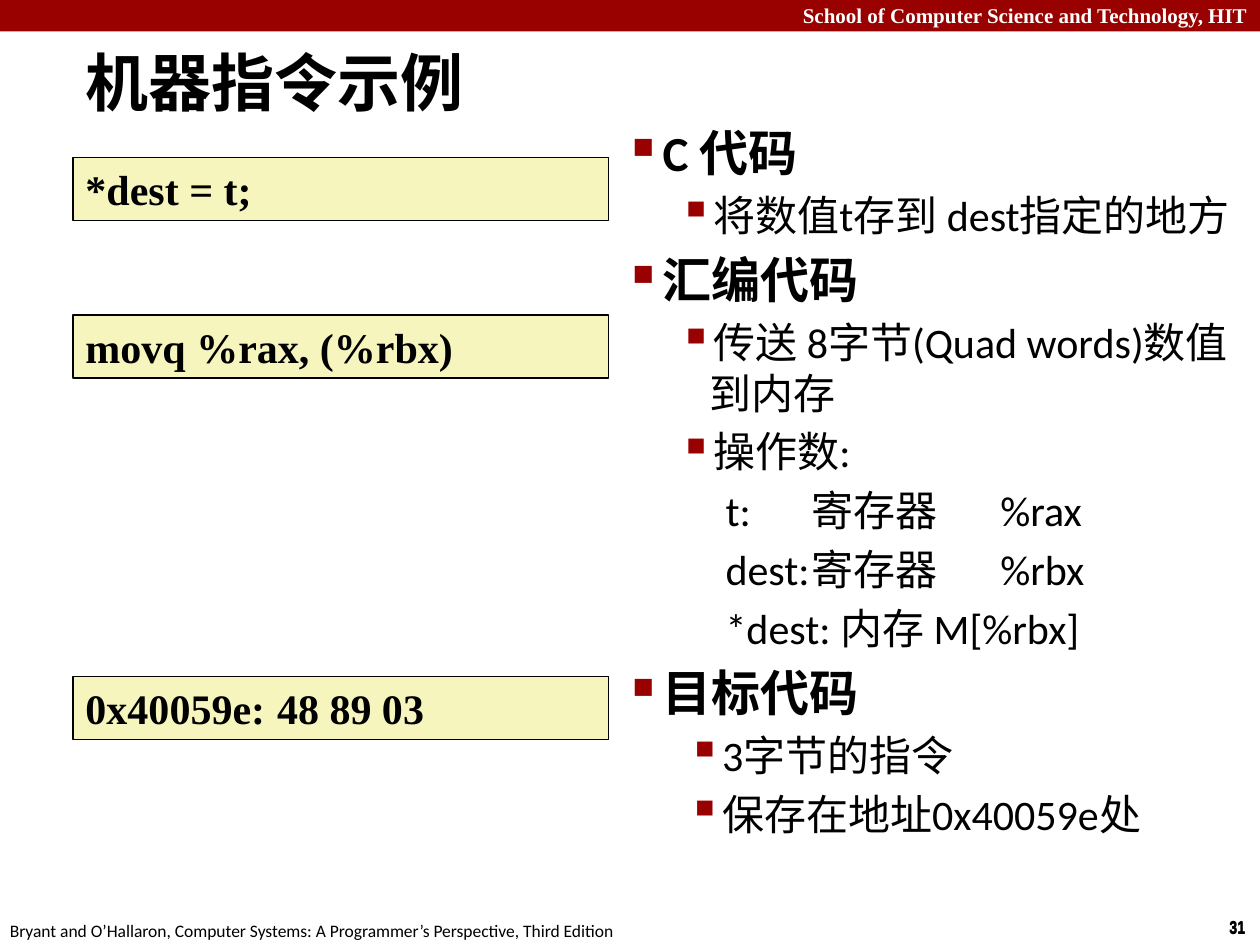
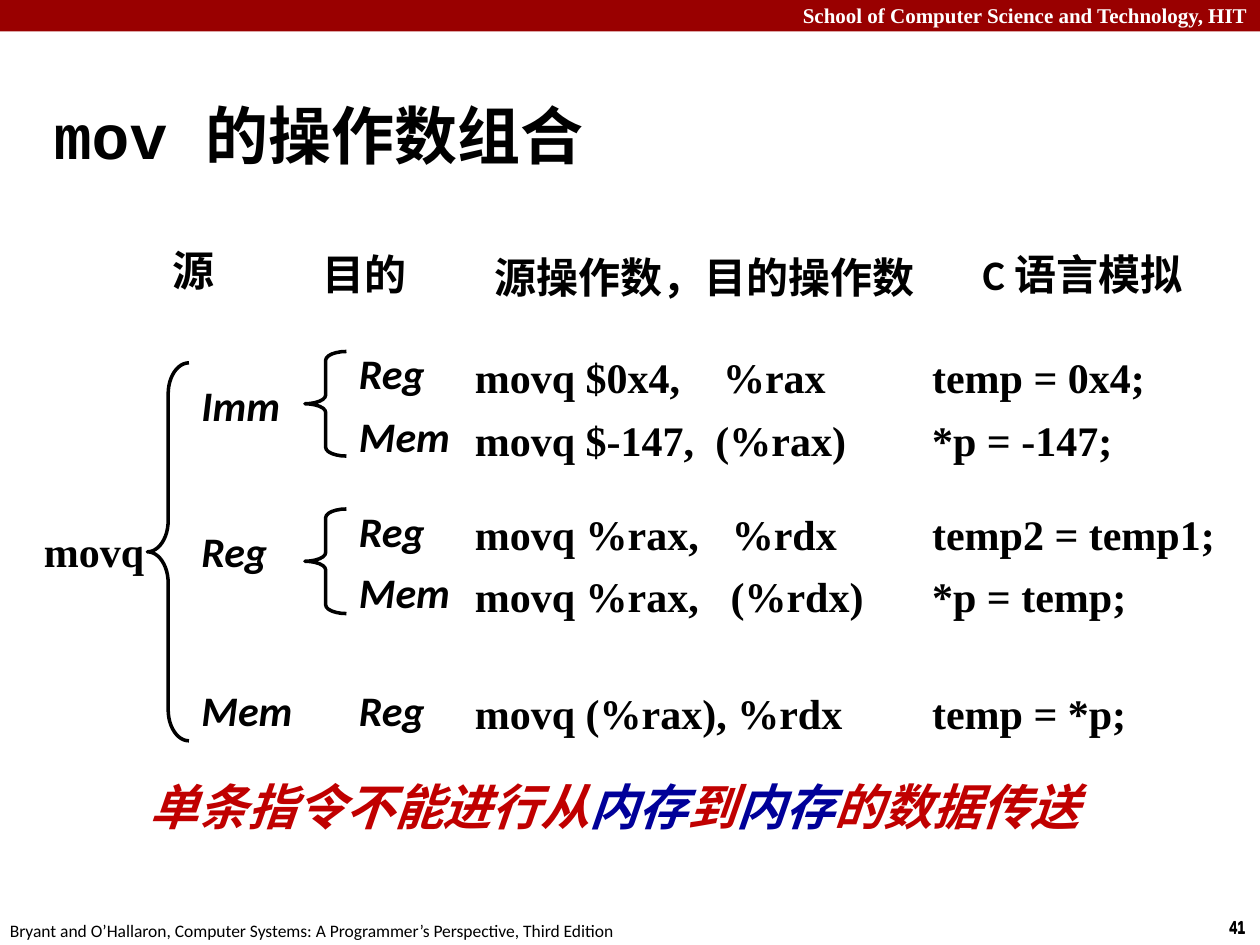
"""Build two slides on machine instructions and the operand combinations of mov."""
import pptx
import pptx.util
import pptx.dml.color
import pptx.enum.shapes
import pptx.enum.text
import pptx.oxml.ns
from lxml import etree

Inches = pptx.util.Inches
Pt = pptx.util.Pt
SHAPE = pptx.enum.shapes.MSO_SHAPE
ALIGN = pptx.enum.text.PP_ALIGN
ANCHOR = pptx.enum.text.MSO_ANCHOR
qn = pptx.oxml.ns.qn

COLORS = {
    "band": "990000", "white": "FFFFFF", "black": "000000",
    "code": "F6F5BD", "red": "C00000", "blue": "000099",
}
SERIF, SANS, MONO, NARROW = "Times New Roman", "Calibri", "Courier New", "Arial Narrow"


class Deck:
    """Hold the shared style and the slide being built."""

    def __init__(self):
        self.prs = pptx.Presentation()
        self.prs.slide_width, self.prs.slide_height = Inches(10), Inches(7.5)
        self.s = None

    def rgb(self, name):
        return pptx.dml.color.RGBColor.from_string(COLORS[name])

    def slide(self, number):
        self.s = self.prs.slides.add_slide(self.prs.slide_layouts[6])
        self.shape(SHAPE.RECTANGLE, (0, 0, 10, 0.25), fill="band")
        self.text("School of Computer Science and Technology, HIT", (0, -0.03, 10, 0.3),
                  size=12, color="white", align=ALIGN.RIGHT, wrap=True)
        for y in (7.23, 7.22):
            self.text(str(number), (9.66, y, 0.34, 0.27), font=NARROW, size=10)
        self.text("Bryant and O’Hallaron, Computer Systems: A Programmer’s Perspective, "
                  "Third Edition", (-0.02, 7.25, 5.08, 0.27), font=SANS, size=10, bold=False)

    def shape(self, kind, box, fill=None, line=None):
        sp = self.s.shapes.add_shape(kind, *map(Inches, box))
        sp.shadow.inherit = False
        if fill:
            sp.fill.solid()
            sp.fill.fore_color.rgb = self.rgb(fill)
        else:
            sp.fill.background()
        if line:
            sp.line.color.rgb = self.rgb("black")
            sp.line.width = Pt(line)
        else:
            sp.line.fill.background()
        return sp

    def font(self, r, font=SERIF, size=24, color="black", bold=True, italic=False):
        r.font.name, r.font.size = font, Pt(size)
        r.font.bold, r.font.italic = bold, italic
        r.font.color.rgb = self.rgb(color)

    def paragraph_style(self, p, indent=None, space=None, bullet=None, tabs=()):
        pPr = p._p.get_or_add_pPr()
        if indent:
            pPr.set("marL", str(Inches(indent[0])))
            pPr.set("indent", str(Inches(indent[1])))
        if space:
            before = etree.SubElement(pPr, qn("a:spcBef"))
            etree.SubElement(before, qn("a:spcPct"), val=str(space * 1000))
        if bullet:
            char, percent = bullet
            color = etree.SubElement(pPr, qn("a:buClr"))
            etree.SubElement(color, qn("a:srgbClr"), val=COLORS["band"])
            etree.SubElement(pPr, qn("a:buSzPct"), val=str(percent * 1000))
            etree.SubElement(pPr, qn("a:buChar"), char=char)
        if tabs:
            stops = etree.SubElement(pPr, qn("a:tabLst"))
            for tab in tabs:
                etree.SubElement(stops, qn("a:tab"), pos=str(Inches(tab)), algn="l")

    def text(self, text, box, wrap=False, align=ALIGN.LEFT, tabs=(), **style):
        sp = self.s.shapes.add_textbox(*map(Inches, box))
        tf = sp.text_frame
        tf.word_wrap = wrap
        p = tf.paragraphs[0]
        p.text, p.alignment = text, align
        self.paragraph_style(p, tabs=tabs)
        for r in p.runs:
            self.font(r, **style)
        return sp

    def runs(self, p, parts, **style):
        for text, change in parts:
            r = p.add_run()
            r.text = text
            self.font(r, **{**style, **change})

    def title(self, parts, box):
        tf = self.s.shapes.add_textbox(*map(Inches, box)).text_frame
        tf.word_wrap, tf.vertical_anchor = True, ANCHOR.MIDDLE
        p = tf.paragraphs[0]
        self.paragraph_style(p, indent=(0.13, -0.13))
        self.runs(p, parts, font=SANS, size=36)

    def outline(self, items, box):
        kinds = {
            "head": (0, (0.24, -0.24), ("■", 60), 28),
            "point": (1, (0.61, -0.24), ("▪", 110), 24),
            "inset": (1, (0.68, -0.24), ("▪", 110), 24),
            "operand": (2, (0.92, -0.18), None, 24),
        }
        tf = self.s.shapes.add_textbox(*map(Inches, box)).text_frame
        tf.word_wrap = True
        for i, (kind, text) in enumerate(items):
            level, indent, bullet, size = kinds[kind]
            p = tf.add_paragraph() if i else tf.paragraphs[0]
            p.text, p.level = text, level
            self.paragraph_style(p, indent, 20, bullet, (1.75, 2.75))
            for r in p.runs:
                self.font(r, font=SANS, size=size, bold=kind == "head")

    def code(self, text, y, tabs=()):
        sp = self.shape(SHAPE.RECTANGLE, (0.58, y, 4.25, 0.5), fill="code", line=1)
        tf = sp.text_frame
        tf.word_wrap = True
        p = tf.paragraphs[0]
        p.text, p.alignment = text, ALIGN.LEFT
        self.paragraph_style(p, tabs=tabs)
        for r in p.runs:
            self.font(r)

    def brace(self, x, y, height, curve):
        sp = self.shape(SHAPE.LEFT_BRACE, (x, y, 0.33, height), line=2)
        sp.adjustments[0], sp.adjustments[1] = curve, 0.5

    def closing(self, parts, box):
        tf = self.s.shapes.add_textbox(*map(Inches, box)).text_frame
        tf.word_wrap = True
        tf.margin_left = tf.margin_right = tf.margin_top = tf.margin_bottom = 0
        p = tf.paragraphs[0]
        p.alignment = ALIGN.CENTER
        self.paragraph_style(p, space=20)
        self.runs(p, parts, font=SANS, size=28, color="red", italic=True)


def instruction_example(deck):
    deck.slide(31)
    deck.title([("机器指令示例", {})], (0.58, 0.33, 7.94, 0.63))
    deck.outline([
        ("head", "C 代码"),
        ("point", "将数值t存到 dest指定的地方"),
        ("head", "汇编代码"),
        ("point", "传送 8字节(Quad words)数值到内存"),
        ("point", "操作数:"),
        ("operand", "t:\t寄存器\t%rax"),
        ("operand", "dest:\t寄存器\t%rbx"),
        ("operand", "*dest: 内存 M[%rbx]"),
        ("head", "目标代码"),
        ("inset", "3字节的指令"),
        ("inset", "保存在地址0x40059e处"),
    ], (4.92, 0.92, 5.08, 6.33))
    deck.code("*dest = t;", 1.25)
    deck.code("movq %rax, (%rbx)", 2.5)
    deck.code("0x40059e:\t48 89 03", 5.37, tabs=(1.52,))


def operand_combinations(deck):
    deck.slide(41)
    deck.title([("mov ", {"font": MONO}), ("的操作数组合", {})], (0.33, 0.75, 7.84, 0.63))
    deck.closing([("单条指令不能进行从", {}), ("内存", {"color": "blue"}), ("到", {}),
                  ("内存", {"color": "blue"}), ("的数据传送", {})], (1, 6.16, 7.75, 0.58))

    for heading, x, y, width, wrap in [
        ("源", 1.27, 1.89, 0.54, False),
        ("目的", 2.46, 1.92, 0.88, False),
        ("源操作数，目的操作数", 3.83, 1.95, 3.62, True),
        ("C 语言模拟", 7.7, 1.92, 1.8, True),
    ]:
        deck.text(heading, (x, y, width, 0.5), wrap=wrap, font=SANS)

    widths = {"Imm": 0.83, "Reg": 0.73, "Mem": 0.96}
    deck.text("movq", (0.25, 4.12, 1.02, 0.5))
    for source, y in [("Imm", 2.96), ("Reg", 4.12), ("Mem", 5.38)]:
        deck.text(source, (1.5, y, widths[source], 0.5), font=SANS, italic=True)

    for y, target, code, tab, meaning in [
        (2.71, "Reg", "movq $0x4,\t%rax", 1.97, "temp = 0x4;"),
        (3.21, "Mem", "movq $-147,\t(%rax)", 1.91, "*p = -147;"),
        (3.96, "Reg", "movq %rax,\t%rdx", 2.04, "temp2 = temp1;"),
        (4.45, "Mem", "movq %rax,\t(%rdx)", 2.03, "*p = temp;"),
        (5.38, "Reg", "movq (%rax), %rdx", 2.09, "temp = *p;"),
    ]:
        deck.text(target, (2.75, y, widths[target], 0.5), font=SANS, italic=True)
        deck.text(code, (3.67, y + 0.03, 3.32, 0.5), wrap=True, tabs=(tab,))
        deck.text(meaning, (7.3, y + 0.03, 2.53, 0.5), wrap=True)

    deck.brace(1.17, 2.88, 3, 0.75)
    for y in (2.79, 4.04):
        deck.brace(2.42, y, 0.83, 0.21)


def main():
    deck = Deck()
    instruction_example(deck)
    operand_combinations(deck)
    deck.prs.save("out.pptx")


if __name__ == "__main__":
    main()
